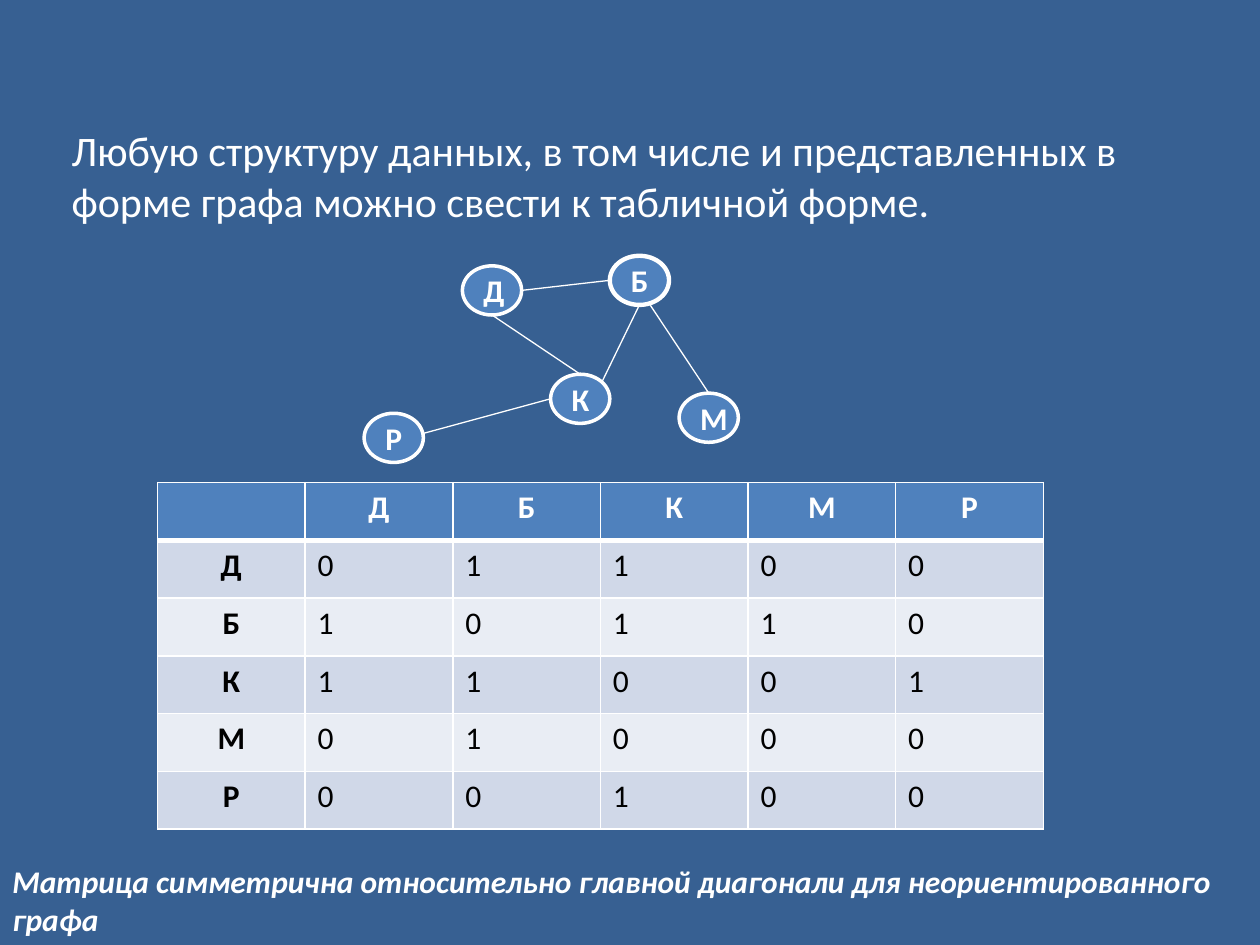
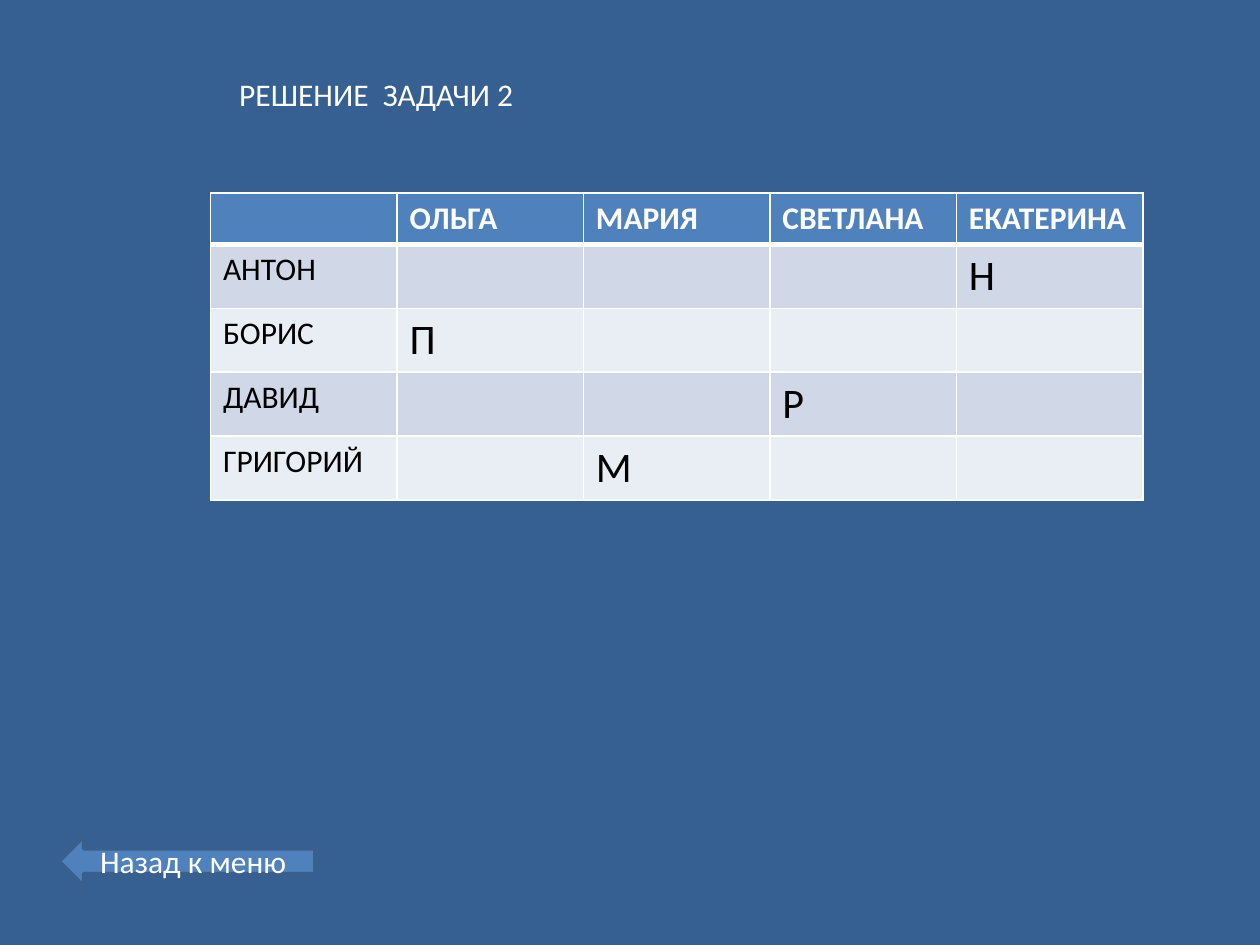
"""Build two slides: a graph with its adjacency matrix, and a solution table."""
from lxml.etree import SubElement as Sub
from pptx import Presentation
from pptx.dml.color import RGBColor as RGB
from pptx.enum.shapes import MSO_CONNECTOR as Conn, MSO_SHAPE as Kind
from pptx.enum.text import MSO_ANCHOR as Anchor, MSO_AUTO_SIZE as Fit, PP_ALIGN as Align
from pptx.oxml.ns import qn
from pptx.util import Inches, Pt

BACK = RGB(0x37, 0x60, 0x92)
BLUE = RGB(0x4F, 0x81, 0xBD)
EDGE = RGB(0x3A, 0x5F, 0x8C)
BANDS = RGB(0xD0, 0xD8, 0xE8), RGB(0xE9, 0xED, 0xF4)
WHITE = RGB(0xFF, 0xFF, 0xFF)
BLACK = RGB(0, 0, 0)

PLAIN = {"name": "Calibri", "size": Pt(18), "bold": False}
BOLD = {**PLAIN, "bold": True}
BIG = {**PLAIN, "size": Pt(24)}
NOTE = {**BOLD, "italic": True}

INTRO = ("Любую структуру данных, в том числе и представленных в "
         "форме графа можно свести к табличной форме.")
RULE = "Матрица симметрична относительно главной диагонали для неориентированного графа"
HEAD = "РЕШЕНИЕ  ЗАДАЧИ 2"
MENU = "Назад к меню"

NAMES = "ДБКМР"
OVAL = 0.47, 0.39
NODES = {
    "Д": (3.67, 2.11, 2),
    "Р": (2.89, 3.28, 2),
    "К": (4.37, 2.97, 2),
    "М": (5.39, 3.12, 2),
    "Б": (4.84, 2.03, 2.5),
}
TOP, LEFT, BOTTOM, RIGHT = (0.5, 0), (0, 0.5), (0.5, 1), (1, 0.5)
LINKS = [
    ("Д", RIGHT, "Б", LEFT),
    ("Р", (1, 0.41), "К", LEFT),
    ("Д", BOTTOM, "К", TOP),
    ("К", (0.87, 0.15), "Б", BOTTOM),
    ("М", TOP, "Б", (0.68, 1)),
]

WOMEN = ["ОЛЬГА", "МАРИЯ", "СВЕТЛАНА", "ЕКАТЕРИНА"]
PAIRS = {
    "АНТОН": ("ЕКАТЕРИНА", "Н"),
    "БОРИС": ("ОЛЬГА", "П"),
    "ДАВИД": ("СВЕТЛАНА", "Р"),
    "ГРИГОРИЙ": ("МАРИЯ", "М"),
}


def write(frame, text, look, color, align=None):
    para = frame.paragraphs[0]
    para.text = text
    para.alignment = align
    for key, val in look.items():
        setattr(para.font, key, val)
    para.font.color.rgb = color


def add_text(slide, box, text, look):
    frame = slide.shapes.add_textbox(*map(Inches, box)).text_frame
    frame.word_wrap = True
    frame.auto_size = Fit.SHAPE_TO_FIT_TEXT
    write(frame, text, look, WHITE)


def add_form(shapes, kind, box, text, look, line, width):
    form = shapes.add_shape(kind, *map(Inches, box))
    form.shadow.inherit = False
    form.fill.solid()
    form.fill.fore_color.rgb = BLUE
    form.line.color.rgb = line
    form.line.width = Pt(width)
    form.text_frame.vertical_anchor = Anchor.MIDDLE
    write(form.text_frame, text, look, WHITE, Align.CENTER)


def add_graph(slide):
    group = slide.shapes.add_group_shape().shapes
    for name, (x, y, width) in NODES.items():
        add_form(group, Kind.OVAL, (x, y, *OVAL), name, BOLD, WHITE, width)

    def spot(name, part):
        return [Inches(NODES[name][i] + OVAL[i] * part[i]) for i in (0, 1)]

    for start, out, end, into in LINKS:
        link = group.add_connector(Conn.STRAIGHT, *spot(start, out), *spot(end, into))
        link.line.color.rgb = WHITE
        link.line.width = Pt(0.75)
        Sub(link._element.spPr, qn("a:effectLst"))


def rim(cell, row):
    props = cell._tc.get_or_add_tcPr()
    thick = {0: "B", 1: "T"}.get(row)
    for side in "LRTB":
        line = Sub(props, qn(f"a:ln{side}"), w=str(Pt(3 if side == thick else 1)))
        Sub(Sub(line, qn("a:solidFill")), qn("a:srgbClr"), val=str(WHITE))


def add_grid(slide, box, rows, top, side, body, align=None):
    grid = slide.shapes.add_table(len(rows), len(rows[0]), *map(Inches, box)).table
    rest = (box[3] - top) / (len(rows) - 1)
    for col in grid.columns:
        col.width = Inches(box[2] / len(rows[0]))
    for r, row in enumerate(rows):
        grid.rows[r].height = Inches(rest if r else top)
        for c, text in enumerate(row):
            cell = grid.cell(r, c)
            rim(cell, r)
            cell.fill.solid()
            cell.fill.fore_color.rgb = BANDS[(r - 1) % 2] if r else BLUE
            look = BOLD if r == 0 else body if c else side
            color = BLACK if r else WHITE
            write(cell.text_frame, text, look, color, None if r and c else align)


def add_page(deck):
    slide = deck.slides.add_slide(deck.slide_layouts[6])
    slide.background.fill.solid()
    slide.background.fill.fore_color.rgb = BACK
    return slide


def main():
    deck = Presentation()
    deck.slide_width, deck.slide_height = Inches(10), Inches(7.5)

    joined = [{start, end} for start, _, end, _ in LINKS]
    matrix = [["", *NAMES]]
    matrix += [[a, *(str(int({a, b} in joined)) for b in NAMES)] for a in NAMES]
    page = add_page(deck)
    add_text(page, (0.47, 0.94, 8.91, 0.91), INTRO, BIG)
    add_graph(page)
    add_grid(page, (1.25, 3.83, 7.03, 2.75), matrix, 0.46, BOLD, PLAIN, Align.CENTER)
    add_text(page, (0, 6.79, 10, 0.71), RULE, NOTE)

    couples = [["", *WOMEN]]
    couples += [[man, *(mark if who == wife else "" for who in WOMEN)]
                for man, (wife, mark) in PAIRS.items()]
    page = add_page(deck)
    add_grid(page, (1.67, 1.53, 7.4, 2.41), couples, 0.41, PLAIN, BIG)
    add_text(page, (1.8, 0.55, 2.66, 0.4), HEAD, PLAIN)
    add_form(page.shapes, Kind.LEFT_ARROW, (0.47, 6.64, 2.03, 0.39), MENU, PLAIN, EDGE, 2)

    deck.save("out.pptx")


if __name__ == "__main__":
    main()
